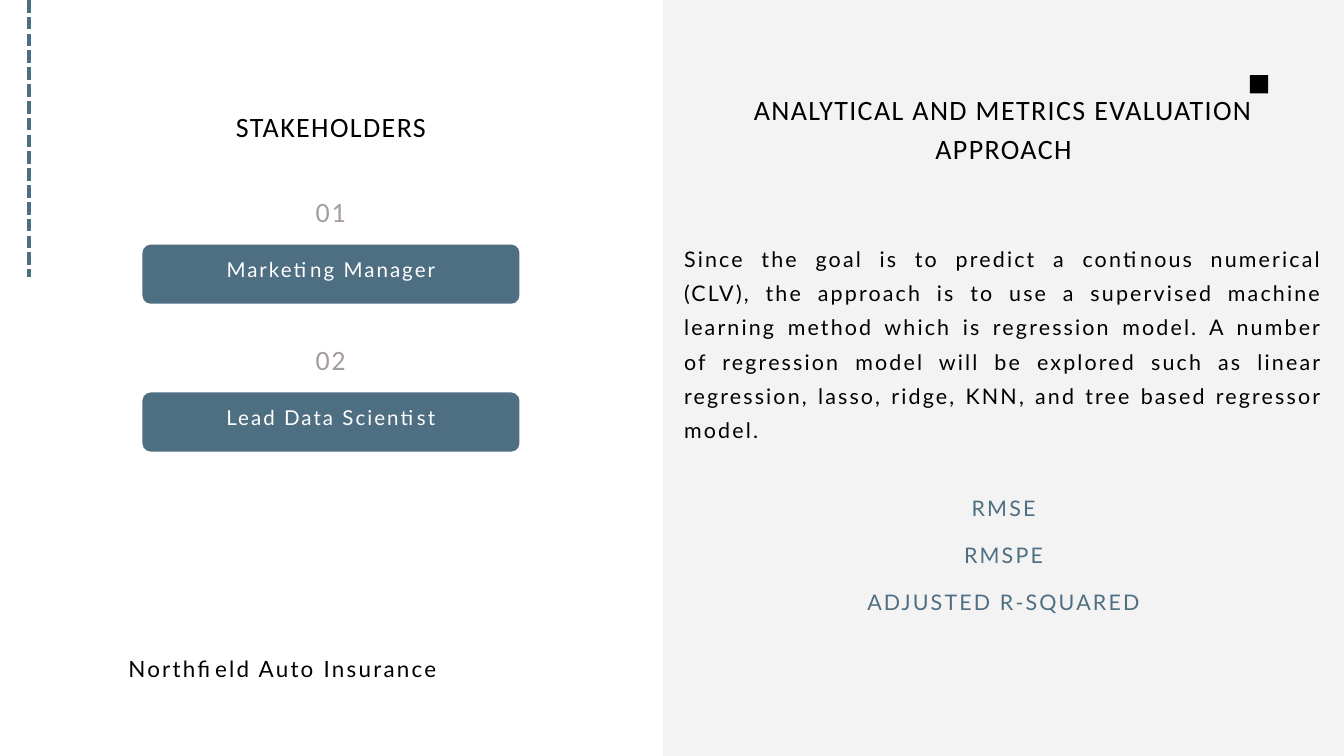
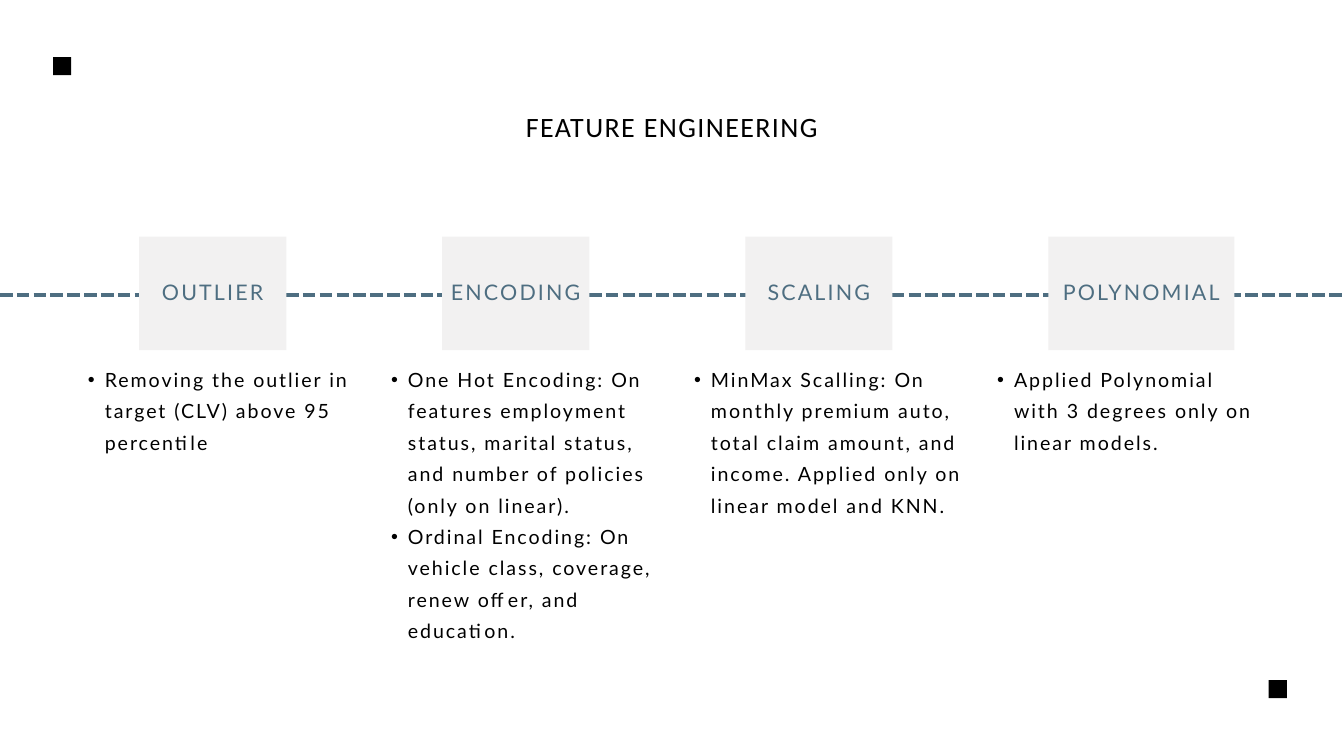
from lxml import etree
from pptx import Presentation
from pptx.dml.color import RGBColor
from pptx.enum.dml import MSO_LINE
from pptx.enum.shapes import MSO_CONNECTOR, MSO_SHAPE
from pptx.enum.text import MSO_ANCHOR, MSO_AUTO_SIZE, PP_ALIGN
from pptx.oxml.ns import qn
from pptx.util import Inches, Pt

WIDTH, HEIGHT = 20, 11.25
SLATE = RGBColor(0x4E, 0x6E, 0x81)
LIGHT = RGBColor(0xF2, 0xF1, 0xF1)
TAUPE = RGBColor(0xA7, 0x9E, 0x9C)
BLACK = RGBColor(0, 0, 0)
WHITE = RGBColor(255, 255, 255)

LEFT, CENTER, JUSTIFY = PP_ALIGN.LEFT, PP_ALIGN.CENTER, PP_ALIGN.JUSTIFY
RECTANGLE, ROUNDED = MSO_SHAPE.RECTANGLE, MSO_SHAPE.ROUNDED_RECTANGLE
MIDDLE, TOP = MSO_ANCHOR.MIDDLE, MSO_ANCHOR.TOP
GROW = MSO_AUTO_SIZE.SHAPE_TO_FIT_TEXT
STRAIGHT, DASHES = MSO_CONNECTOR.STRAIGHT, MSO_LINE.SQUARE_DOT

# Font, size, line spacing, letter spacing, colour, alignment
STYLES = {
    "title": ("Calibri", 30, 42, 1.5, BLACK, CENTER),
    "number": ("Calibri", 30, 42, 1.5, TAUPE, CENTER),
    "company": ("Lato", 24, 33.6, 2.4, BLACK, LEFT),
    "approach": ("Lato", 23, 36.8, 2.3, BLACK, JUSTIFY),
    "metric": ("Lato", 23, 32.2, 2.3, SLATE, CENTER),
    "stakeholder": ("Lato", 22, 30.8, 2.2, WHITE, CENTER),
    "step": ("Lato", 23, 34.5, 2.3, SLATE, CENTER),
    "detail": ("Lato", 21, 33.6, 2.1, BLACK, LEFT),
}

COMPANY = "Northfield Auto Insurance"
STAKEHOLDERS = ["Marketing Manager", "Lead Data Scientist"]
APPROACH = (
    "Since the goal is to predict a continous numerical (CLV), the approach is to use "
    "a supervised machine learning method which is regression model. A number of "
    "regression model will be explored such as linear regression, lasso, ridge, KNN, "
    "and tree based regressor model."
)
METRICS = ["RMSE", "RMSPE", "ADJUSTED R-SQUARED"]

# Step, tile width, details
STEPS = [
    ("OUTLIER", 2.19, ["Removing the outlier in target (CLV) above 95 percentile"]),
    ("ENCODING", 2.19, [
        "One Hot Encoding: On features employment status, marital status, "
        "and number of policies (only on linear).",
        "Ordinal Encoding: On vehicle class, coverage, renew offer, and education.",
    ]),
    ("SCALING", 2.19, [
        "MinMax Scalling: On monthly premium auto, total claim amount, and income. "
        "Applied only on linear model and KNN.",
    ]),
    ("POLYNOMIAL", 2.77, ["Applied Polynomial with 3 degrees only on linear models."]),
]

TITLE_TOP = 1.55
PANEL_LEFT = 9.87
STAKEHOLDER_TOP, STAKEHOLDER_PITCH = 2.81, 2.2
METRIC_TOP, METRIC_PITCH = 7.3, 0.7
STEP_LEFT, STEP_TOP, STEP_HEIGHT, STEP_PITCH = 2.07, 3.52, 1.69, 4.51
DETAIL_LEFT, DETAIL_TOP, DETAIL_WIDTH = 1.06, 5.36, 4.23


def write(text_frame, lines, style, inset=0, lift=0):
    """Fill a frame with styled paragraphs; lift raises the lower inset."""
    font_name, size, line_spacing, letter_spacing, color, alignment = STYLES[style]
    text_frame.word_wrap = True
    text_frame.margin_left = text_frame.margin_right = Inches(inset)
    text_frame.margin_top, text_frame.margin_bottom = Inches(inset), Inches(inset + lift)
    text_frame.text = "\n".join(lines)
    for paragraph in text_frame.paragraphs:
        paragraph.alignment = alignment
        paragraph.line_spacing = Pt(line_spacing)
        for run in paragraph.runs:
            run.font.name = font_name
            run.font.size = Pt(size)
            run.font.color.rgb = color
            run._r.get_or_add_rPr().set("spc", str(round(letter_spacing * 100)))


def add_text(slide, lines, style, left, top, width, height):
    box = slide.shapes.add_textbox(*map(Inches, (left, top, width, height)))
    write(box.text_frame, lines, style)
    box.text_frame.vertical_anchor = TOP
    box.text_frame.auto_size = GROW
    return box


def add_title(slide, title, left, width, top=TITLE_TOP, height=0.6):
    add_text(slide, [title], "title", left, top, width, height)


def add_block(slide, kind, color, left, top, width, height):
    shape = slide.shapes.add_shape(kind, *map(Inches, (left, top, width, height)))
    shape.shadow.inherit = False
    shape.fill.solid()
    shape.fill.fore_color.rgb = color
    shape.line.fill.background()
    return shape


def add_label(shape, label, style, lift):
    write(shape.text_frame, [label], style, inset=0.06, lift=lift)
    shape.text_frame.vertical_anchor = MIDDLE


def add_square(slide, left, top):
    add_block(slide, RECTANGLE, BLACK, left, top, 0.27, 0.27)


def add_dashes(slide, *ends):
    line = slide.shapes.add_connector(STRAIGHT, *map(Inches, ends))
    line.line.color.rgb = SLATE
    line.line.width = Pt(4.5)
    line.line.dash_style = DASHES
    etree.SubElement(line._element.spPr, qn("a:effectLst"))


def set_opacity(shape, percent):
    color = shape._element.spPr.find(qn("a:solidFill"))[0]
    etree.SubElement(color, qn("a:alpha"), val=str(percent * 1000))


def add_bullets(text_frame):
    for paragraph in text_frame.paragraphs:
        paragraph.level = 1
        properties = paragraph._p.get_or_add_pPr()
        properties.set("marL", str(Inches(0.5)))
        properties.set("indent", str(Inches(-0.25)))
        etree.SubElement(properties, qn("a:buFont"), typeface="Arial")
        etree.SubElement(properties, qn("a:buChar"), char="•")


def build_stakeholders(slide):
    add_dashes(slide, 0.43, 0, 0.43, 4.12)
    panel = add_block(slide, RECTANGLE, LIGHT, PANEL_LEFT, 0, WIDTH - PANEL_LEFT, HEIGHT)
    set_opacity(panel, 80)
    add_square(slide, 18.6, 1.12)
    add_text(slide, [COMPANY], "company", 1.91, 9.68, 5.56, 0.44)

    add_title(slide, "STAKEHOLDERS", 1.1, 7.65)
    for index, stakeholder in enumerate(STAKEHOLDERS):
        top = STAKEHOLDER_TOP + index * STAKEHOLDER_PITCH
        add_text(slide, [f"{index + 1:02}"], "number", 4.28, top, 1.28, 0.6)
        pill = add_block(slide, ROUNDED, SLATE, 2.12, top + 0.83, 5.61, 0.88)
        pill.adjustments[0] = 0.14
        add_label(pill, stakeholder, "stakeholder", lift=0.2)

    add_title(slide, "ANALYTICAL AND METRICS EVALUATION APPROACH", 11.11, 7.65, 1.29, 1.19)
    add_text(slide, [APPROACH], "approach", 10.18, 3.53, 9.51, 3.04)
    for index, metric in enumerate(METRICS):
        top = METRIC_TOP + index * METRIC_PITCH
        add_text(slide, [metric], "metric", 12.85, top, 4.17, 0.43)


def build_feature_engineering(slide):
    add_dashes(slide, 0, 4.39, WIDTH, 4.39)
    add_square(slide, 18.88, 10.12)
    add_square(slide, 0.79, 0.85)
    add_title(slide, "FEATURE ENGINEERING", 1.32, 17.36)
    for index, (step, tile_width, details) in enumerate(STEPS):
        offset = index * STEP_PITCH
        tile = add_block(slide, RECTANGLE, LIGHT, STEP_LEFT + offset, STEP_TOP,
                         tile_width, STEP_HEIGHT)
        add_label(tile, step, "step", lift=0.14)
        box = add_text(slide, details, "detail", DETAIL_LEFT + offset, DETAIL_TOP,
                       DETAIL_WIDTH, 1.35)
        add_bullets(box.text_frame)


def main():
    presentation = Presentation()
    presentation.slide_width, presentation.slide_height = Inches(WIDTH), Inches(HEIGHT)
    blank = presentation.slide_layouts[6]
    for build in (build_stakeholders, build_feature_engineering):
        build(presentation.slides.add_slide(blank))
    presentation.save("out.pptx")


if __name__ == "__main__":
    main()
